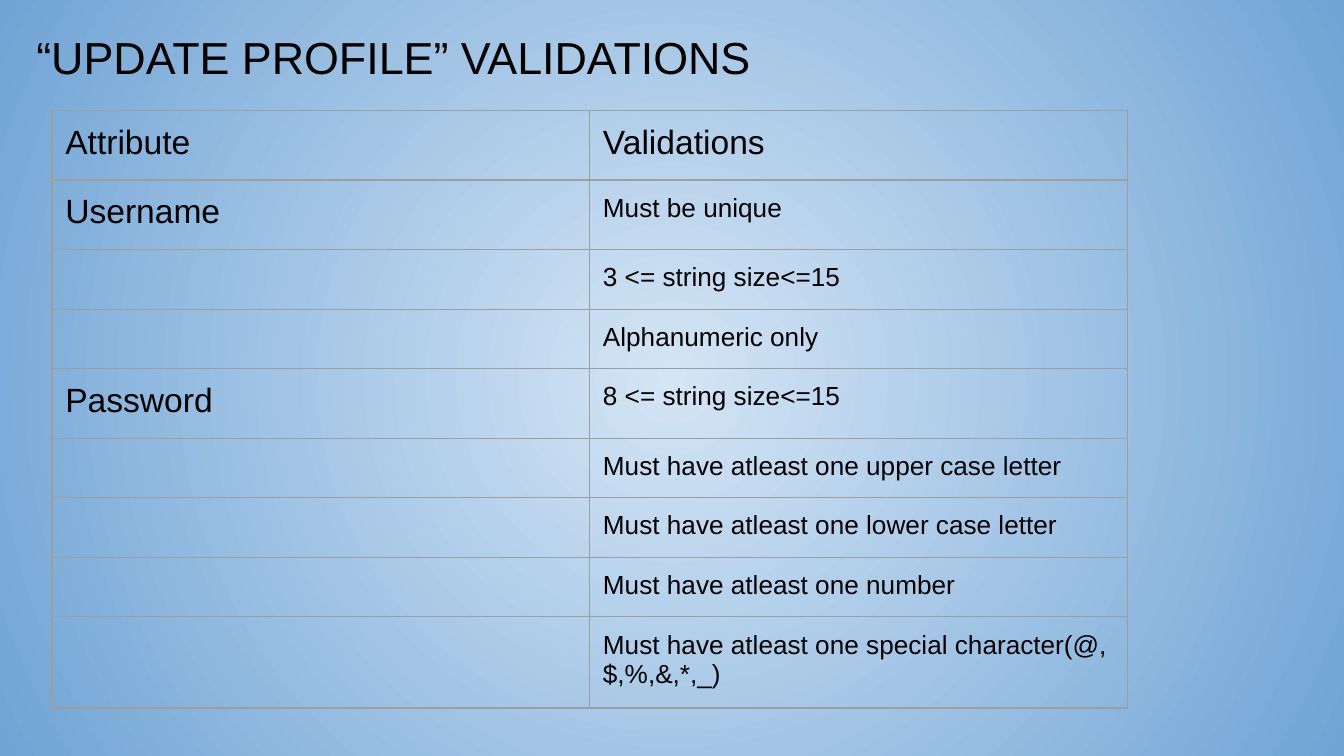
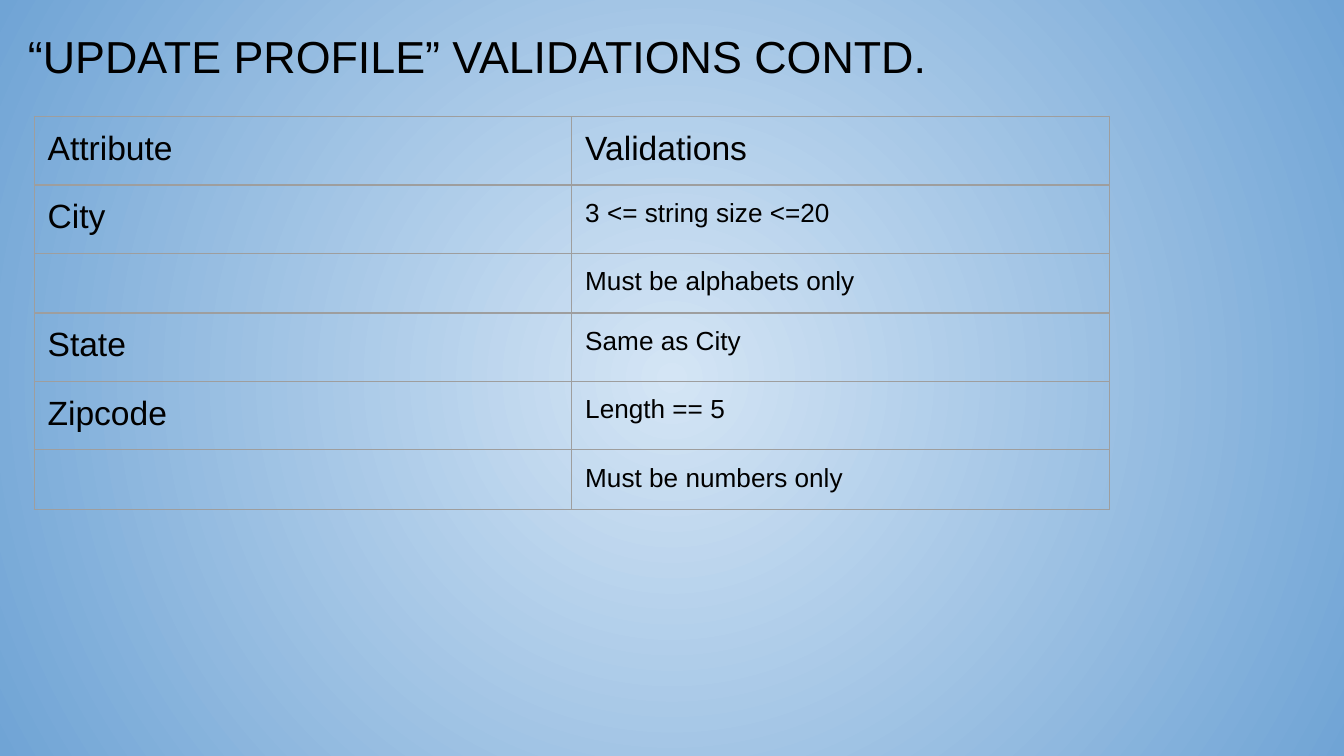
"""Build the two slides that list the profile validations."""
from dataclasses import dataclass

from lxml import etree
from pptx import Presentation
from pptx.dml.color import RGBColor
from pptx.enum.text import MSO_ANCHOR
from pptx.oxml.ns import qn
from pptx.slide import Slide
from pptx.table import _Cell
from pptx.text.text import TextFrame, _Paragraph
from pptx.util import Pt

TOP = MSO_ANCHOR.TOP
BLACK = RGBColor(0x00, 0x00, 0x00)
GREY = RGBColor(0x9E, 0x9E, 0x9E)
PALE_BLUE = RGBColor(0xD4, 0xE5, 0xF5)
BLUE = RGBColor(0x70, 0xA4, 0xD5)

FONT = "Arial"
TITLE_SIZE, LABEL_SIZE, RULE_SIZE = 24, 18, 14
INSET = Pt(7.2)
COLUMN_WIDTH = Pt(288)
RULE_HEIGHT = 31.9
BORDER = Pt(0.75)


@dataclass(frozen=True)
class Box:
    """A place on the slide, in points."""

    left: float
    top: float
    width: float
    height: float


@dataclass(frozen=True)
class Attribute:
    """A profile attribute and the rules it must meet."""

    name: str
    rules: tuple[str, ...]


@dataclass(frozen=True)
class ValidationSlide:
    """A title with a table of attributes below it."""

    title: str
    title_box: Box
    table_left: float
    table_top: float
    label_height: float
    attributes: tuple[Attribute, ...]
    last_height: float = RULE_HEIGHT


SLIDES = (
    ValidationSlide(
        "“UPDATE PROFILE” VALIDATIONS", Box(12.4, 8.6, 677, 40.3), 27.8, 59.2, 37.3,
        (
            Attribute("Username", (
                "Must be unique", "3 <= string size<=15", "Alphanumeric only")),
            Attribute("Password", (
                "8 <= string size<=15",
                "Must have atleast one upper case letter",
                "Must have atleast one lower case letter",
                "Must have atleast one number",
                "Must have atleast one special character(@,$,%,&,*,_)")),
        ),
        last_height=48.8,
    ),
    ValidationSlide(
        "“UPDATE PROFILE” VALIDATIONS CONTD.", Box(7.9, 8, 693.4, 48.2), 18.3, 62.4, 36.7,
        (
            Attribute("City", ("3 <= string size <=20", "Must be alphabets only")),
            Attribute("State", ("Same as City",)),
            Attribute("Zipcode", ("Length == 5", "Must be numbers only")),
        ),
    ),
)


def set_background(s: Slide) -> None:
    """Fill the slide with a gradient that spreads from its centre."""
    fill = s.background.fill
    fill.gradient()
    for stop, color, position in zip(fill.gradient_stops, (PALE_BLUE, BLUE), (0, 1)):
        stop.color.rgb = color
        stop.position = position
    grad = s.element.find(".//" + qn("a:gradFill"))
    grad.remove(grad.find(qn("a:lin")))
    circle = etree.SubElement(grad, qn("a:path"), path="circle")
    sides = dict.fromkeys("ltrb", "50000")
    etree.SubElement(circle, qn("a:fillToRect"), sides)


def add_text(p: _Paragraph, text: str, size: float) -> None:
    """Add one run in the shared font."""
    r = p.add_run()
    r.text = text
    r.font.name = FONT
    r.font.size = Pt(size)
    r.font.color.rgb = BLACK


def set_insets(target: TextFrame | _Cell) -> None:
    """Give a text frame or cell the shared insets."""
    target.margin_left = target.margin_right = INSET
    target.margin_top = target.margin_bottom = INSET


def add_title(s: Slide, title: str, box: Box) -> None:
    """Add the slide title."""
    sp = s.shapes.add_textbox(Pt(box.left), Pt(box.top), Pt(box.width), Pt(box.height))
    tf = sp.text_frame
    tf.word_wrap = True
    tf.vertical_anchor = TOP
    set_insets(tf)
    add_text(tf.paragraphs[0], title, TITLE_SIZE)


def style_cell(cell: _Cell) -> None:
    """Draw a thin border round a clear cell."""
    tc_pr = cell._tc.get_or_add_tcPr()
    for side in ("lnL", "lnR", "lnT", "lnB"):
        ln = etree.SubElement(tc_pr, qn(f"a:{side}"), w=str(int(BORDER)))
        solid = etree.SubElement(ln, qn("a:solidFill"))
        etree.SubElement(solid, qn("a:srgbClr"), val=str(GREY))
    cell.fill.background()
    cell.vertical_anchor = TOP
    set_insets(cell)


def fill_cell(cell: _Cell, text: str, size: float) -> None:
    """Style a cell and write its text, keeping empty cells low."""
    style_cell(cell)
    p = cell.text_frame.paragraphs[0]
    if text:
        add_text(p, text, size)
    else:
        etree.SubElement(p._p, qn("a:endParaRPr"), sz=str(RULE_SIZE * 100))


def add_validations(s: Slide, content: ValidationSlide) -> None:
    """Add the table of attributes, one rule to a row."""
    rows = [("Attribute", "Validations")]
    for attribute in content.attributes:
        for i, rule in enumerate(attribute.rules):
            rows.append((attribute.name if i == 0 else "", rule))
    heights = [content.label_height if label else RULE_HEIGHT for label, _ in rows]
    heights[-1] = content.last_height

    frame = s.shapes.add_table(
        len(rows), 2, Pt(content.table_left), Pt(content.table_top),
        COLUMN_WIDTH * 2, Pt(sum(heights)))
    table = frame.table
    table.first_row = table.horz_banding = False
    for column in table.columns:
        column.width = COLUMN_WIDTH
    for i, ((label, rule), height) in enumerate(zip(rows, heights)):
        table.rows[i].height = Pt(height)
        fill_cell(table.cell(i, 0), label, LABEL_SIZE)
        fill_cell(table.cell(i, 1), rule, RULE_SIZE if i else LABEL_SIZE)


def main() -> None:
    """Build and save the presentation."""
    prs = Presentation()
    prs.slide_width, prs.slide_height = Pt(720), Pt(405)
    for content in SLIDES:
        s = prs.slides.add_slide(prs.slide_layouts[6])
        set_background(s)
        add_title(s, content.title, content.title_box)
        add_validations(s, content)
    prs.save("out.pptx")


if __name__ == "__main__":
    main()
